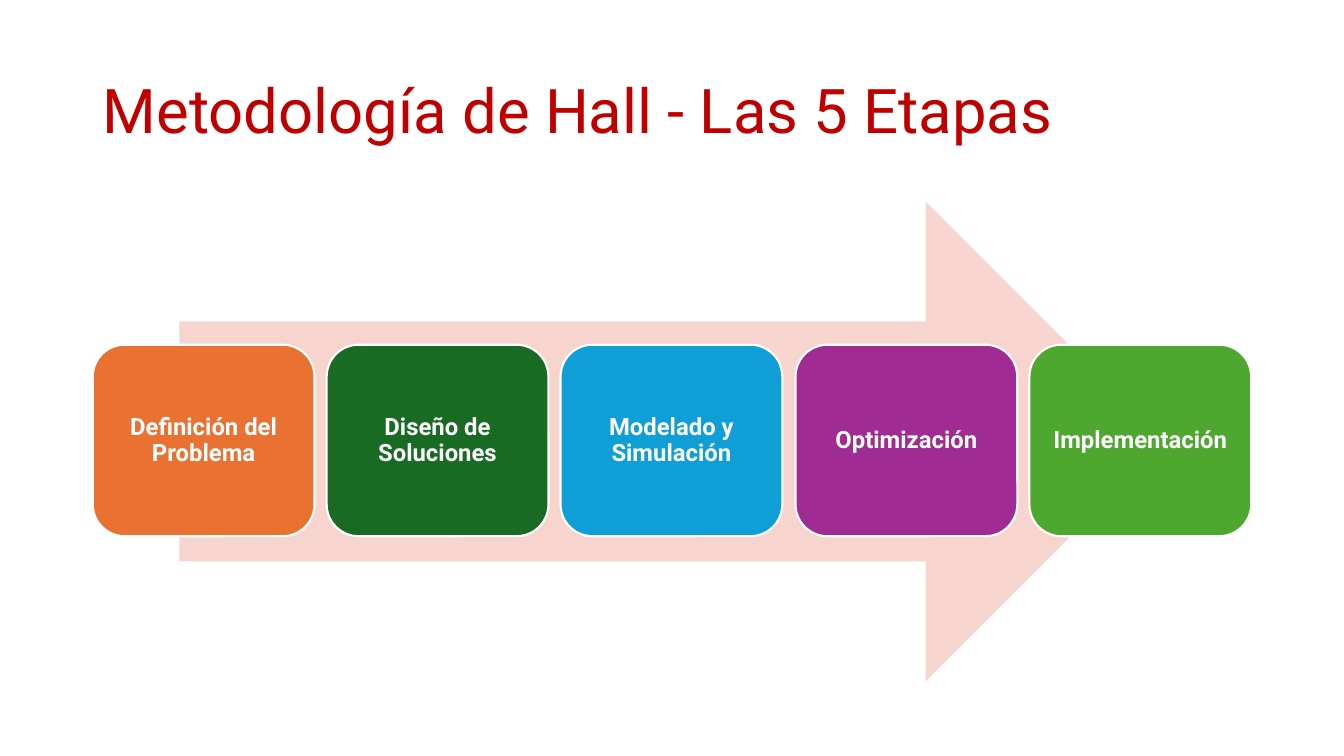
from pptx import Presentation
from pptx.dml.color import RGBColor
from pptx.enum.shapes import MSO_SHAPE
from pptx.enum.text import MSO_ANCHOR, MSO_AUTO_SIZE, PP_ALIGN
from pptx.util import Emu, Pt

RIGHT_ARROW, ROUNDED = MSO_SHAPE.RIGHT_ARROW, MSO_SHAPE.ROUNDED_RECTANGLE
MIDDLE = MSO_ANCHOR.MIDDLE
LEFT, CENTER = PP_ALIGN.LEFT, PP_ALIGN.CENTER
NO_AUTOFIT = MSO_AUTO_SIZE.NONE

EMU_PER_PX = 9144  # 100 px to the inch
TITLE_ONLY = 5

WHITE = RGBColor(0xFF, 0xFF, 0xFF)
RED = RGBColor(0xC0, 0x00, 0x00)
PINK = RGBColor(0xF7, 0xD5, 0xCE)
ORANGE = RGBColor(0xE9, 0x71, 0x32)
DARK_GREEN = RGBColor(0x19, 0x6B, 0x24)
BLUE = RGBColor(0x0F, 0x9E, 0xD5)
PURPLE = RGBColor(0xA0, 0x2B, 0x93)
GREEN = RGBColor(0x4E, 0xA7, 0x2E)

STAGES = [
    ("Definición del Problema", ORANGE),
    ("Diseño de Soluciones", DARK_GREEN),
    ("Modelado y Simulación", BLUE),
    ("Optimización", PURPLE),
    ("Implementación", GREEN),
]
STAGE_WIDTH, STAGE_HEIGHT, STAGE_TOP = 220, 190, 342
FIRST_LEFT, LAST_LEFT = 92, 1021


def px(length):
    return Emu(length * EMU_PER_PX)


class StageSlide:
    font_name = "Roboto"
    line_spacing = 0.9

    def __init__(self, deck):
        self.page = deck.slides.add_slide(deck.slide_layouts[TITLE_ONLY])

    def set_text(self, shape, text, size, color, align, bold=False):
        frame = shape.text_frame
        frame.text = text
        frame.word_wrap = True
        frame.auto_size = NO_AUTOFIT
        frame.vertical_anchor = MIDDLE
        para = frame.paragraphs[0]
        para.alignment = align
        para.line_spacing = self.line_spacing
        font = para.font
        font.name, font.size, font.bold = self.font_name, Pt(size), bold
        font.color.rgb = color

    def title(self, text, left, top, width, height):
        title = self.page.shapes.title
        title.left, title.top = px(left), px(top)
        title.width, title.height = px(width), px(height)
        self.set_text(title, text, 44, RED, LEFT)

    def shape(self, kind, left, top, width, height, fill):
        shape = self.page.shapes.add_shape(
            kind, px(left), px(top), px(width), px(height))
        shape.shadow.inherit = False
        shape.fill.solid()
        shape.fill.fore_color.rgb = fill
        shape.line.fill.background()
        return shape

    def stage(self, text, left, fill):
        box = self.shape(ROUNDED, left, STAGE_TOP, STAGE_WIDTH, STAGE_HEIGHT, fill)
        box.line.color.rgb = WHITE
        box.line.width = Pt(1.5)
        frame = box.text_frame
        frame.margin_left = frame.margin_right = px(7)
        frame.margin_top = frame.margin_bottom = px(7)
        self.set_text(box, text, 17, WHITE, CENTER, bold=True)


def main():
    deck = Presentation()
    deck.slide_width, deck.slide_height = px(1333), px(750)
    slide = StageSlide(deck)
    slide.title("Metodología de Hall - Las 5 Etapas", 92, 40, 1150, 145)
    slide.shape(RIGHT_ARROW, 178, 200, 978, 476, PINK)
    for index, (text, fill) in enumerate(STAGES):
        offset = round(index * (LAST_LEFT - FIRST_LEFT) / (len(STAGES) - 1))
        slide.stage(text, FIRST_LEFT + offset, fill)
    deck.save("out.pptx")


if __name__ == "__main__":
    main()
